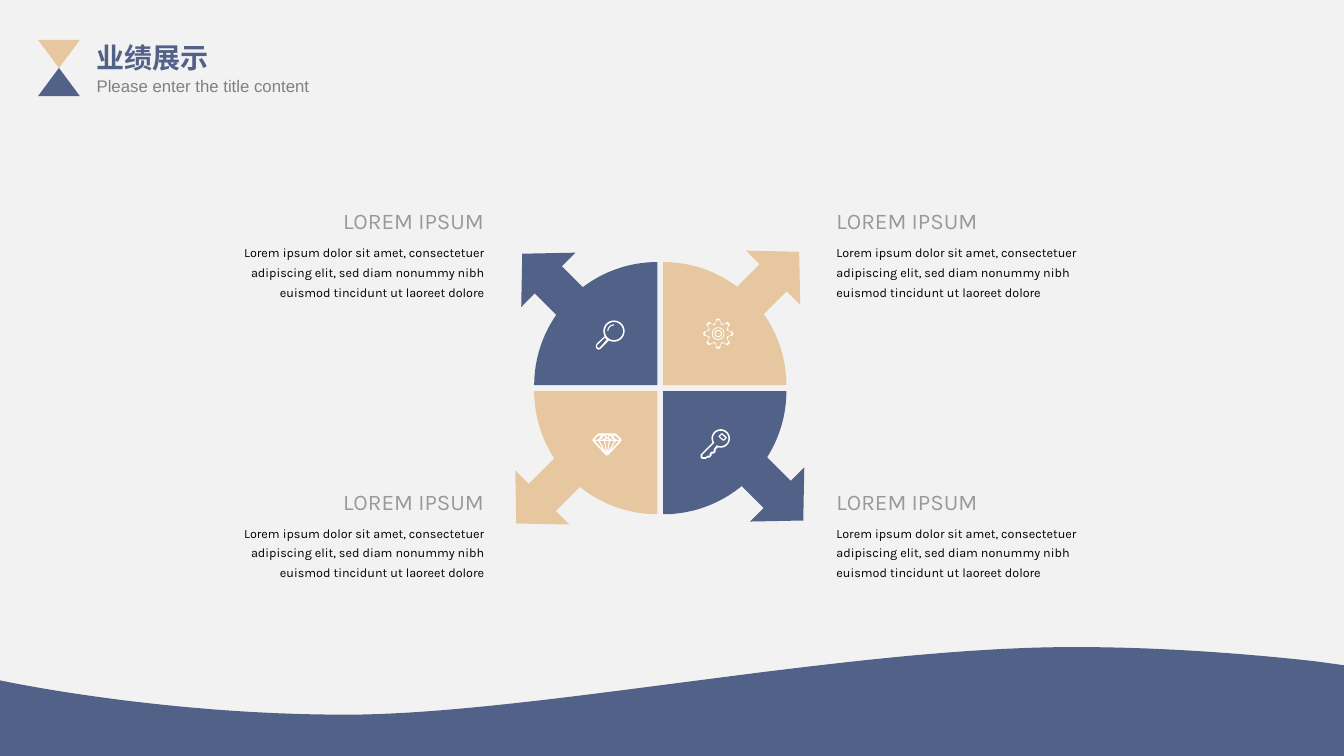
"""Build the performance slide: a four-part wheel with arrows, icons and captions."""
from math import cos, radians, sin

from pptx import Presentation
from pptx.dml.color import RGBColor
from pptx.enum.shapes import MSO_SHAPE
from pptx.enum.text import MSO_AUTO_SIZE, PP_ALIGN
from pptx.util import Pt

BLUE, SAND, WHITE, PAPER = "526188", "E7C7A0", "FFFFFF", "F2F2F2"
TITLE, SUBTITLE = "业绩展示", "Please enter the title content"
HEADING = "LOREM IPSUM"
BODY = ("Lorem ipsum dolor sit amet, consectetuer adipiscing elit, sed diam "
        "nonummy nibh euismod tincidunt ut laoreet dolore")
CAPTIONS = [
    (590.4, 590.4, 144.7, PP_ALIGN.LEFT),
    (590.4, 590.4, 344.9, PP_ALIGN.LEFT),
    (217.4, 147.6, 144.7, PP_ALIGN.RIGHT),
    (217.4, 147.6, 344.9, PP_ALIGN.RIGHT),
]
QUADRANTS = [
    (0, 0, 315, BLUE, 364.3, 173.5),
    (1, 0, 45, SAND, 524.9, 172.1),
    (0, 1, 225, SAND, 360, 329),
    (1, 1, 135, BLUE, 527.8, 326.9),
]
WHEEL_LEFT, WHEEL_TOP, WEDGE, WEDGE_STEP = 381.6, 187.2, 88, 92.1
WAVE_CURVES = [
    [(938.9, 472.3), (887, 466.6), (827.3, 462.2), (766.8, 462.2)],
    [(766.8, 462.2), (604.8, 462.2), (380.2, 510.5), (247, 510.5)],
    [(247, 510.5), (113, 510.5), (0, 486), (0, 486)],
]
WAVE_CORNERS = [(0, 540), (960, 540), (960, 475.2)]

GEM_CENTER, GEM_TOP = 433.6, 309.6
GEM_EDGE = [(0, 15.8), (-1, 15.4), (-10.1, 5.6), (-10.4, 4.7), (-10.1, 3.8),
            (-6.7, 0.4), (-5.8, 0)]
GEM_SIDE_FACETS = [
    [(-5.8, 1.4), (-4.5, 2.6), (-6.5, 4.4), (-9.3, 4.4)],
    [(-2.4, 12.3), (-8.7, 5.3), (-6.3, 5.3)],
    [(-2.2, 5.3), (-0.8, 13.5), (-5.2, 5.3)],
    [(-3.7, 3.5), (-2.3, 4.4), (-5.1, 4.4)],
    [(-4.3, 2.1), (-5.2, 1.4), (-3, 1.4)],
    [(-2.3, 4.3), (-3.7, 2.9), (-2.3, 1.6), (-0.9, 2.9)],
]
GEM_MIDDLE_FACETS = [
    [(0, 2.9), (-1.4, 1.4), (1.4, 1.4)],
    [(1.4, 4.4), (-1.4, 4.4), (0, 3.5)],
    [(1.3, 5.3), (0, 13.5), (-1.3, 5.3)],
]

GEAR = (513, 238.3)
GEAR_OUTER_TOOTH = [(-18, 7.6), (-12, 8.3), (-9, 10), (-6, 10.7),
                    (6, 10.7), (9, 10), (12, 8.3), (18, 7.6)]
GEAR_INNER_TOOTH = [(-20, 6.7), (-14, 7.4), (-6, 9.4), (6, 9.4), (14, 7.4), (20, 6.7)]
GEAR_RINGS = [(4.5, 3.9), (2.6, 1.9)]

LENS = (438.6, 236.5)
HANDLE_EDGE = [(429.1, 249.1), (427.7, 249.8), (426.2, 249.2), (425.5, 247.3),
               (426.2, 245.5)]
HANDLE_HOLE = [(428.4, 248.3), (427.5, 248.6), (426.4, 247.5), (426.8, 246.3),
               (432, 241.2), (433.4, 242.6)]

KEY_HEAD = (514.8, 313.2)
KEY_EDGE = [(511.2, 321.1), (511.2, 322.6), (509.8, 324), (508.3, 324),
            (508.3, 325.4), (506.9, 326.9), (505.4, 326.9), (504, 327.8),
            (501.5, 327.8), (500.4, 326.9), (500.4, 324.7), (501.1, 324)]
KEY_HOLE = [(511.9, 318.2), (511.2, 319), (509.8, 321.1), (509.8, 322.6),
            (508.3, 322.6), (506.9, 324), (506.9, 325.4), (505.4, 325.4),
            (504, 326.6), (501.8, 326.6), (501.8, 324.7), (509.8, 316.8)]
KEY_WINDOW = [
    [(513.4, 311.4), (515.2, 309.6), (516.1, 309.6), (519, 312.2),
     (519, 313.1), (517.2, 314.8), (516.3, 314.8), (513.4, 312.1)],
    [(514.2, 311.7), (515.6, 310.4), (518.2, 312.7), (516.8, 314)],
]


def color(value):
    return RGBColor.from_string(value)


def paint(shape, fill):
    shape.shadow.inherit = False
    shape.fill.solid()
    shape.fill.fore_color.rgb = color(fill)
    shape.line.fill.background()


def add_preset(shapes, kind, left, top, width, height, fill, rotation=0):
    shape = shapes.add_shape(kind, Pt(left), Pt(top), Pt(width), Pt(height))
    shape.rotation = rotation
    paint(shape, fill)


def add_outline(shapes, contours, fill):
    contours = [[(Pt(x), Pt(y)) for x, y in contour] for contour in contours]
    builder = shapes.build_freeform(*contours[0][0])
    builder.add_line_segments(contours[0][1:])
    for contour in contours[1:]:
        builder.move_to(*contour[0])
        builder.add_line_segments(contour[1:])
    paint(builder.convert_to_shape(), fill)


def add_text(shapes, text, left, top, width, height, *, size, ink, font="Karla",
             bold=False, align=PP_ALIGN.LEFT, spacing=1.0):
    box = shapes.add_textbox(Pt(left), Pt(top), Pt(width), Pt(height))
    frame = box.text_frame
    frame.word_wrap = True
    frame.auto_size = MSO_AUTO_SIZE.SHAPE_TO_FIT_TEXT
    paragraph = frame.paragraphs[0]
    paragraph.alignment = align
    paragraph.line_spacing = spacing
    run = paragraph.add_run()
    run.text = text
    run.font.name, run.font.size, run.font.bold = font, Pt(size), bold
    run.font.color.rgb = color(ink)


def polar(center, angle, radius):
    return (center[0] + radius * cos(radians(angle)),
            center[1] + radius * sin(radians(angle)))


def arc(center, radius, start=0, end=360, steps=36):
    return [polar(center, start + (end - start) * i / steps, radius)
            for i in range(steps + 1)]


def gear_rim(tooth):
    return [polar(GEAR, 45 * i + angle, radius) for i in range(8) for angle, radius in tooth]


def curve(points, steps=40):
    weights = [((1 - t) ** 3, 3 * t * (1 - t) ** 2, 3 * t * t * (1 - t), t ** 3)
               for t in (i / steps for i in range(steps + 1))]
    return [tuple(sum(w * p[axis] for w, p in zip(row, points)) for axis in (0, 1))
            for row in weights]


def mirror(points):
    return [(-x, y) for x, y in reversed(points)]


def gem_contours():
    facets = [GEM_EDGE + mirror(GEM_EDGE), *GEM_SIDE_FACETS,
              *map(mirror, GEM_SIDE_FACETS), *GEM_MIDDLE_FACETS]
    return [[(GEM_CENTER + x, GEM_TOP + y) for x, y in facet] for facet in facets]


def main():
    presentation = Presentation()
    presentation.slide_width, presentation.slide_height = Pt(960), Pt(540)
    slide = presentation.slides.add_slide(presentation.slide_layouts[6])
    slide.background.fill.solid()
    slide.background.fill.fore_color.rgb = color(PAPER)
    shapes = slide.shapes

    wave = [point for part in WAVE_CURVES for point in curve(part)]
    add_outline(shapes, [wave + WAVE_CORNERS], BLUE)

    header = shapes.add_group_shape().shapes
    add_preset(header, MSO_SHAPE.ISOSCELES_TRIANGLE, 27.2, 48.5, 29.8, 20.1, BLUE)
    add_preset(header, MSO_SHAPE.ISOSCELES_TRIANGLE, 27.2, 28.5, 29.8, 20.1, SAND, 180)
    add_text(header, TITLE, 61.9, 25.2, 128.9, 31.7, size=20, ink=BLUE, font="Arial",
             bold=True, align=PP_ALIGN.JUSTIFY)
    add_text(header, SUBTITLE, 61.9, 50.4, 190, 21.6, size=12, ink="808080",
             font="Arial", align=PP_ALIGN.JUSTIFY)

    for column, row, direction, fill, left, top in QUADRANTS:
        add_preset(shapes, MSO_SHAPE.UP_ARROW, left, top, 54.7, 52.6, fill, direction)
        add_preset(shapes, MSO_SHAPE.PIE_WEDGE, WHEEL_LEFT + column * WEDGE_STEP,
                   WHEEL_TOP + row * WEDGE_STEP, WEDGE, WEDGE, fill,
                   (direction + 45) % 360)

    gear = [[gear_rim(GEAR_OUTER_TOOTH), gear_rim(GEAR_INNER_TOOTH)]]
    gear += [[arc(GEAR, radius) for radius in ring] for ring in GEAR_RINGS]
    magnifier = [
        [arc(LENS, 7.6, 151, 478) + HANDLE_EDGE, arc(LENS, 6.5), HANDLE_HOLE],
        [arc(LENS, 4.8, 180, 270) + arc(LENS, 4, 270, 180)],
    ]
    key = [[arc(KEY_HEAD, 6.6, 153, 468) + KEY_EDGE,
            arc(KEY_HEAD, 5.5, 146, 473) + KEY_HOLE], KEY_WINDOW]
    for icon in ([gem_contours()], gear, magnifier, key):
        group = shapes.add_group_shape().shapes
        for contours in icon:
            add_outline(group, contours, WHITE)

    for heading_left, body_left, top, align in CAPTIONS:
        add_text(shapes, HEADING, heading_left, top, 135.4, 27.4, size=16,
                 ink="999999", align=align)
        add_text(shapes, BODY, body_left, top + 23.8, 205.2, 49.7, size=9,
                 ink="000000", align=align, spacing=1.3)

    presentation.save("out.pptx")


if __name__ == "__main__":
    main()
